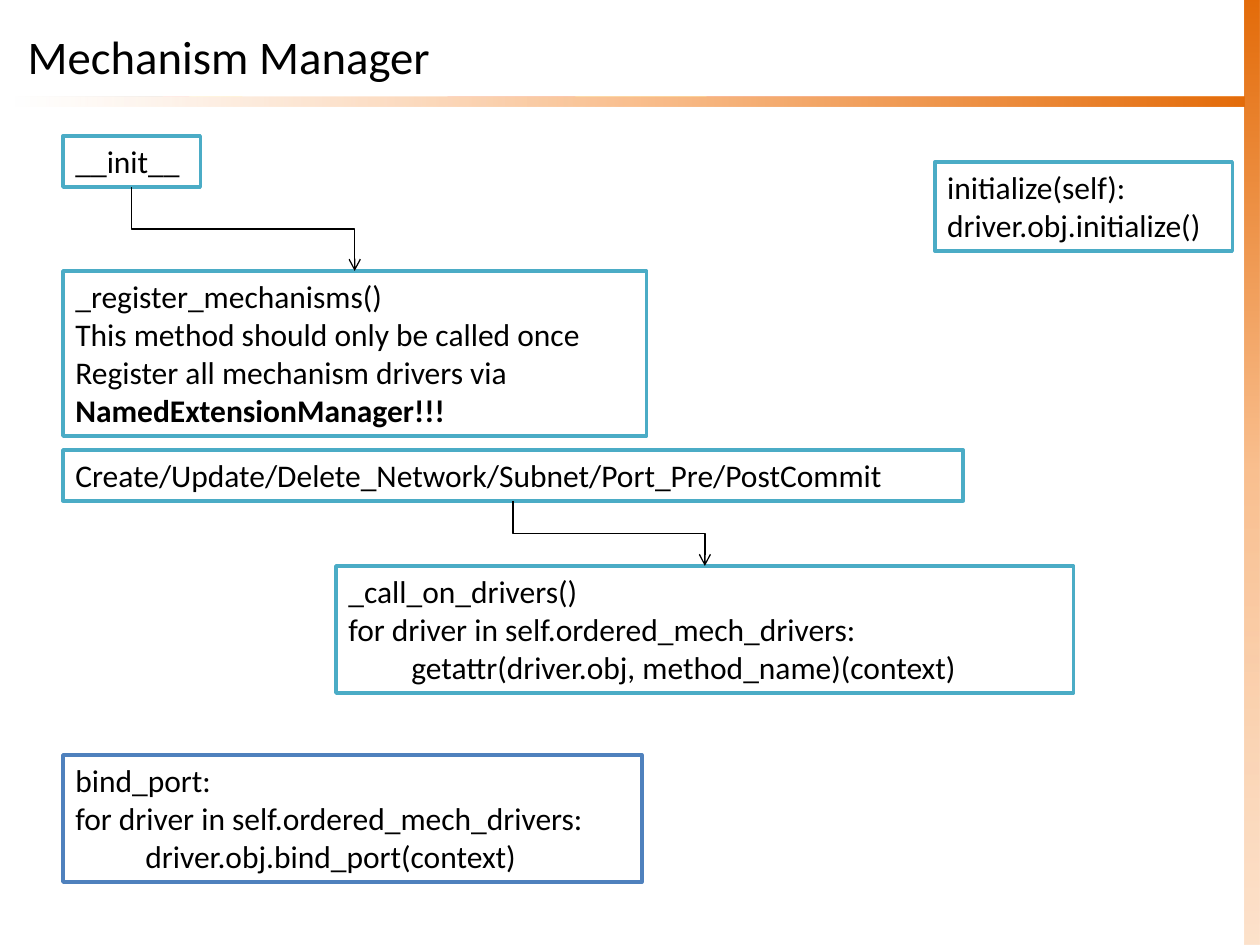
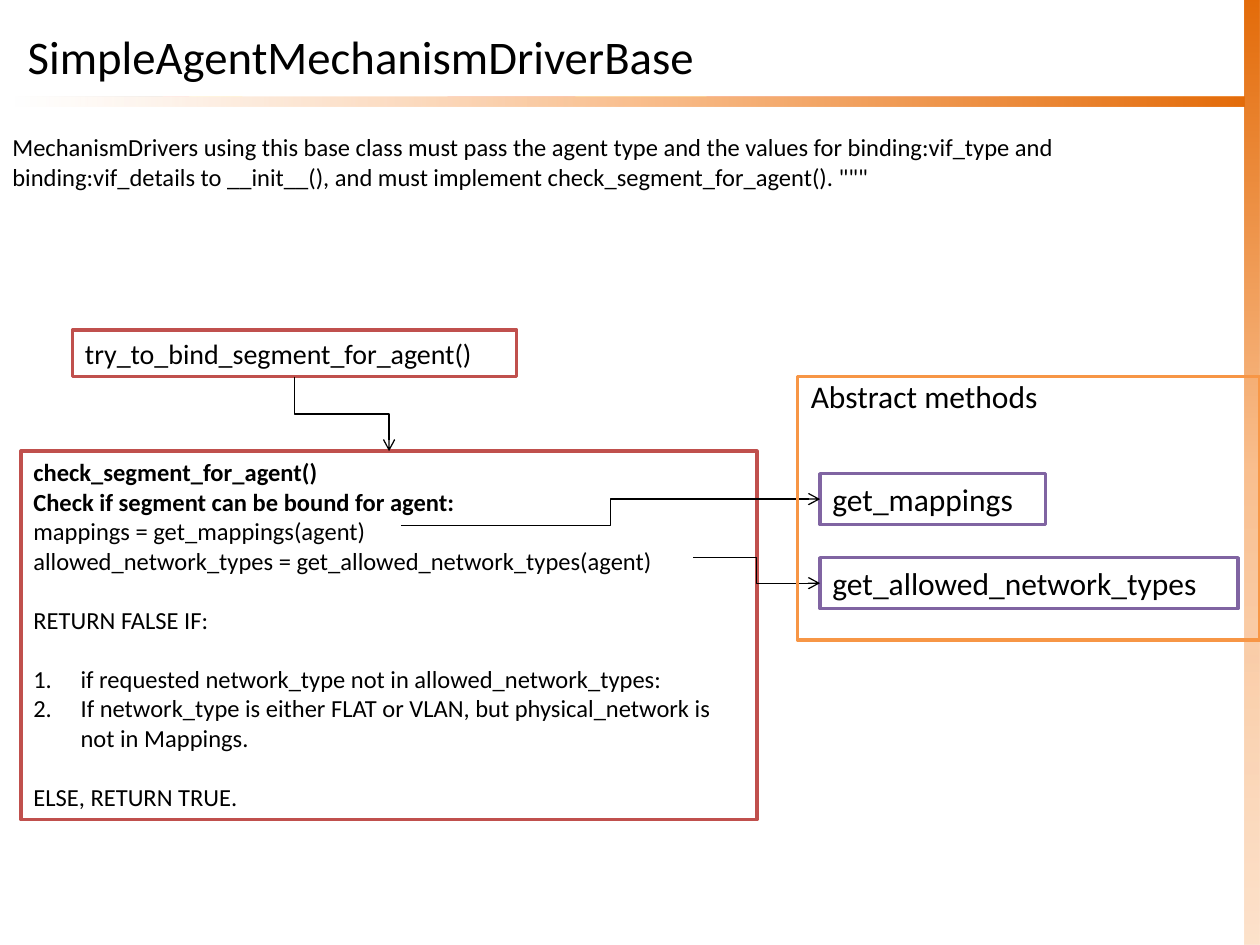
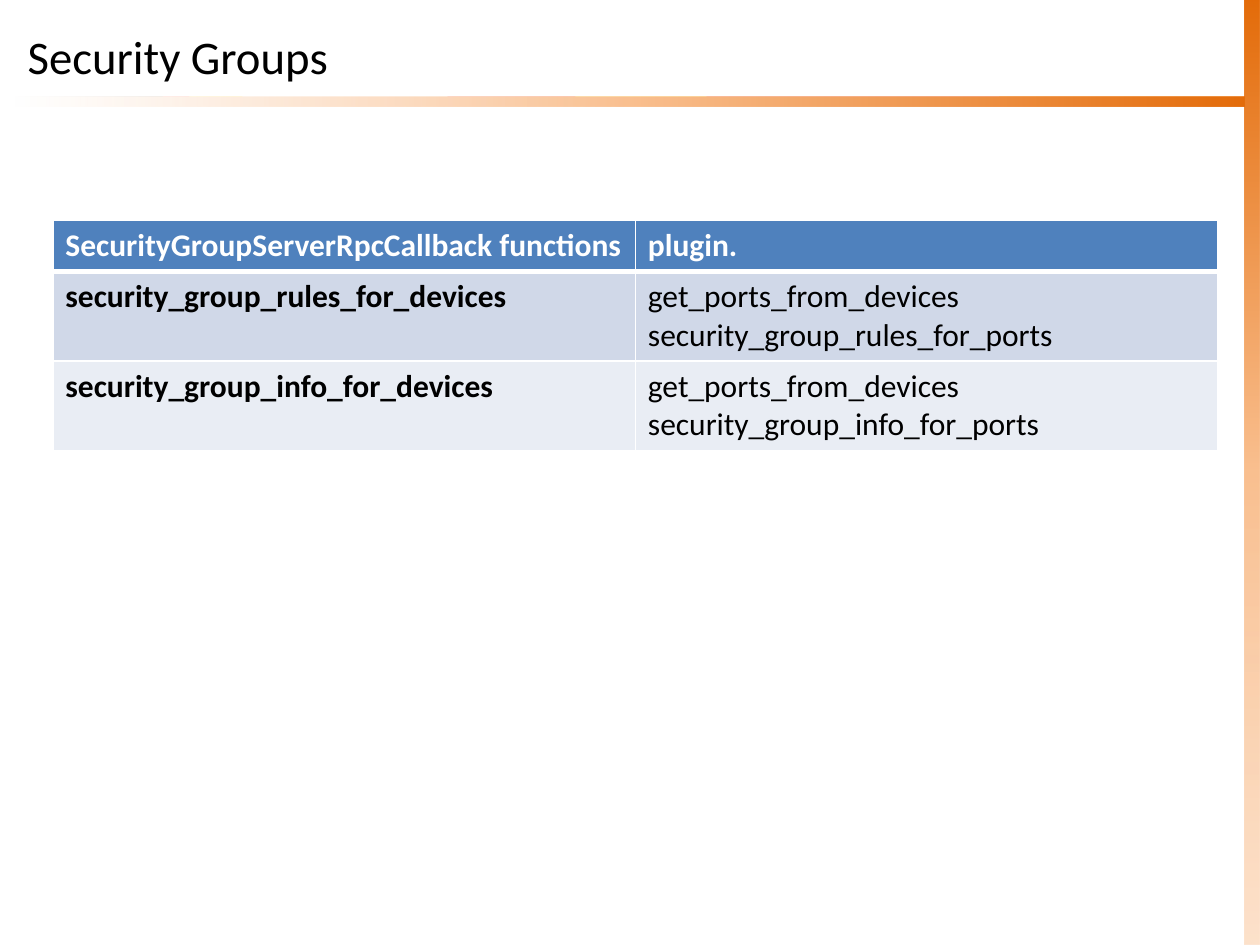
from lxml import etree
from pptx import Presentation
from pptx import util as u
from pptx.dml.color import RGBColor
from pptx.enum import shapes, text
from pptx.oxml.ns import qn

Pt = u.Pt
HUES = {
    "black": "000000", "white": "FFFFFF", "teal": "4BACC6", "blue": "4F81BD",
    "red": "C0504D", "plum": "8064A2", "amber": "F79646",
    "deep": "E46C0A", "mid": "FAC090", "pale": "FCD5B5",
    "odd": "D0D8E8", "even": "E9EDF4",
}
FONT = "Calibri"
DOWN, ACROSS = (2, 0), (None, 1)


def rgb(hue):
    return RGBColor.from_string(HUES[hue])


def apply(item, **vals):
    for name, val in vals.items():
        setattr(item, name, val)


def node(root, tag, **attrs):
    return etree.SubElement(root, qn(tag), attrs)


def tint(root, hue, alpha=None):
    color = node(root, "a:srgbClr", val=HUES[hue])
    if alpha is not None:
        node(color, "a:alpha", val=str(alpha * 1000))


def style(run, size, hue="black", **vals):
    apply(run.font, name=FONT, size=Pt(size), **vals)
    run.font.color.rgb = rgb(hue)


def number(para):
    props = para._p.get_or_add_pPr()
    props.set("marL", str(Pt(27)))
    props.set("indent", str(-Pt(27)))
    node(props, "a:buFont", typeface="+mj-lt")
    node(props, "a:buAutoNum", type="arabicPeriod")


def write(frame, lines, size, hue="black"):
    for i, line in enumerate(lines):
        words, opts = (line, {}) if isinstance(line, str) else line
        para = frame.paragraphs[0] if i == 0 else frame.add_paragraph()
        if opts.get("num"):
            number(para)
        para.alignment = text.PP_ALIGN.LEFT
        if opts.get("gap"):
            para.space_before = Pt(opts["gap"])
        run = para.add_run()
        run.text = words
        style(run, size, hue, bold=opts.get("bold", False))


def block(slide, box, hue=None):
    rect = slide.shapes.add_shape(shapes.MSO_SHAPE.RECTANGLE, *map(Pt, box))
    rect.shadow.inherit = False
    if hue:
        rect.line.color.rgb = rgb(hue)
        rect.line.width = Pt(2)
    else:
        rect.line.fill.background()
    return rect


def card(slide, x, y, w, lines, hue=None, size=18, wrap=False, rows=None):
    box = (x, y, w, 7.3 + 1.21 * size * (rows or len(lines)))
    if hue:
        item = block(slide, box, hue)
        item.fill.solid()
        item.fill.fore_color.rgb = rgb("white")
    else:
        item = slide.shapes.add_textbox(*map(Pt, box))
    apply(item.text_frame, word_wrap=wrap, vertical_anchor=text.MSO_ANCHOR.TOP,
          auto_size=text.MSO_AUTO_SIZE.SHAPE_TO_FIT_TEXT)
    write(item.text_frame, lines, size)
    return item


def side(item, site):
    if site == 1:
        return item.left, item.top + item.height // 2
    return item.left + item.width // 2, item.top + item.height * (site == 2)


def link(slide, start, end, sites):
    first, last = sites
    begin = start if first is None else side(start, first)
    stop = side(end, last)
    line = slide.shapes.add_connector(shapes.MSO_CONNECTOR.ELBOW, *begin, *stop)
    if first is not None:
        line.begin_connect(start, first)
    line.end_connect(end, last)
    if sites == DOWN:
        dx, dy = stop[0] - begin[0], stop[1] - begin[1]
        apply(line, left=begin[0] + (dx - dy) // 2,
              top=begin[1] + (dy - dx) // 2, width=dy, height=dx)
        frame = line.element.spPr.find(qn("a:xfrm"))
        frame.set("rot", "16200000")
        frame.set("flipH", "1")
    line.line.color.rgb = rgb("black")
    line.line.width = Pt(0.75)
    props = line.element.spPr
    node(props.find(qn("a:ln")), "a:tailEnd", type="arrow")
    node(props, "a:effectLst")


def band(slide, layout, box, angle, stops):
    rect = block(slide, box)
    rect.fill.background()
    props = rect.element.spPr
    grad = etree.Element(qn("a:gradFill"), rotWithShape="1")
    steps = node(grad, "a:gsLst")
    for spot, hue, alpha in stops:
        tint(node(steps, "a:gs", pos=str(spot * 1000)), hue, alpha)
    node(grad, "a:lin", ang=str(angle * 60000), scaled="0")
    props.replace(props.find(qn("a:noFill")), grad)
    layout.shapes.element.insert(2, rect.element)


def frame(slide, layout):
    band(slide, layout, (8.6, 55.2, 702.8, 5.4), 0,
         [(0, "pale", 0), (50, "mid", None), (100, "deep", None)])
    band(slide, layout, (711.4, 0, 8.6, 540), 90,
         [(0, "deep", None), (50, "mid", None), (100, "pale", 69)])


def page(deck, layout, title):
    slide = deck.slides.add_slide(layout)
    head = slide.shapes.title
    apply(head, left=Pt(8.6), top=Pt(9.4), width=Pt(702.8), height=Pt(45.4))
    apply(head.text_frame, vertical_anchor=text.MSO_ANCHOR.MIDDLE,
          auto_size=text.MSO_AUTO_SIZE.NONE)
    write(head.text_frame, [title], 26.7)
    return slide


def setup(slide, x, y):
    init = card(slide, x, y, 78.5, ["__init__"], "teal")
    reg = card(slide, x, y + 77, 333.4, [
        "_register_mechanisms()",
        "This method should only be called once",
        "Register all mechanism drivers via",
        ("NamedExtensionManager!!!", {"bold": True}),
    ], "teal")
    link(slide, init, reg, DOWN)
    card(slide, x + 498.2, y + 14.8, 170,
         ["initialize(self):", "driver.obj.initialize()"], "teal")


def calls(slide, x, y):
    loop = "for driver in self.ordered_mech_drivers:"
    commit = card(slide, x, y, 514.4, [
        "Create/Update/Delete_Network/Subnet/Port_Pre/PostCommit"], "teal")
    call = card(slide, x + 156, y + 66.2, 421.5, [
        "_call_on_drivers()", loop,
        "\tgetattr(driver.obj, method_name)(context)"], "teal")
    link(slide, commit, call, DOWN)
    card(slide, x, y + 174.2, 330.8,
         ["bind_port:", loop, "\t driver.obj.bind_port(context)"], "blue")


def check(slide, x, y):
    bind = card(slide, x + 29.5, y, 253.8,
                ["try_to_bind_segment_for_agent()"], "red", 16)
    test = card(slide, x, y + 69.2, 420.6, [
        ("check_segment_for_agent()", {"bold": True}),
        ("Check if segment can be bound for agent:", {"bold": True}),
        "mappings = get_mappings(agent)",
        "allowed_network_types = get_allowed_network_types(agent)",
        ("RETURN FALSE IF:", {"gap": 17}),
        ("if requested network_type not in allowed_network_types:",
         {"num": True, "gap": 17}),
        ("If network_type is either FLAT or VLAN, but physical_network is "
         "not in Mappings.", {"num": True}),
        ("ELSE, RETURN TRUE.", {"gap": 17}),
    ], "red", 14, True, 12)
    link(slide, bind, test, DOWN)


def methods(slide, x, y):
    card(slide, x + 0.4, y - 3.4, 156, ["Abstract methods"])
    maps = card(slide, x + 12.8, y + 55.5, 128.9, ["get_mappings"], "plum")
    kinds = card(slide, x + 12.8, y + 103.5, 239,
                 ["get_allowed_network_types"], "plum")
    link(slide, (Pt(x - 226.8), Pt(y + 85)), maps, ACROSS)
    link(slide, (Pt(x - 59.8), Pt(y + 103.5)), kinds, ACROSS)
    block(slide, (x, y, 264.2, 150.5), "amber").fill.background()


def border(cell, top, bottom):
    props = cell._tc.get_or_add_tcPr()
    for edge, width in zip("LRTB", (1, 1, top, bottom)):
        line = node(props, "a:ln" + edge, w=str(Pt(width)))
        tint(node(line, "a:solidFill"), "white")


def grid(slide, x, y, w):
    data = [
        (["SecurityGroupServerRpcCallback functions"], ["plugin."]),
        (["security_group_rules_for_devices"],
         ["get_ports_from_devices", "security_group_rules_for_ports"]),
        (["security_group_info_for_devices"],
         ["get_ports_from_devices", "security_group_info_for_ports"]),
    ]
    high = 29.2
    table = slide.shapes.add_table(
        len(data), 2, Pt(x), Pt(y), Pt(w), Pt(high * len(data))).table
    for r, row in enumerate(data):
        table.rows[r].height = Pt(high)
        for c, lines in enumerate(row):
            cell = table.cell(r, c)
            border(cell, 3 if r == 1 else 1, 3 if r == 0 else 1)
            cell.fill.solid()
            cell.fill.fore_color.rgb = rgb(("blue", "odd", "even")[r])
            bold = {"bold": r == 0 or c == 0}
            write(cell.text_frame, [(line, bold) for line in lines], 18,
                  "black" if r else "white")


def main():
    deck = Presentation()
    apply(deck, slide_width=Pt(720), slide_height=Pt(540))
    layout = deck.slide_layouts[5]

    slide = page(deck, layout, "Mechanism Manager")
    frame(slide, layout)
    setup(slide, 36, 77.8)
    calls(slide, 36, 257.2)

    slide = page(deck, layout, "SimpleAgentMechanismDriverBase")
    card(slide, 0, 72, 714, [
        "MechanismDrivers using this base class must pass the agent type and "
        "the values for binding:vif_type and binding:vif_details to "
        "__init__(), and must implement check_segment_for_agent(). \"\"\""],
        size=14, wrap=True, rows=2)
    check(slide, 12, 188.6)
    methods(slide, 455.8, 215.2)

    slide = page(deck, layout, "Security Groups")
    grid(slide, 30.2, 126, 665.8)

    deck.save("out.pptx")


if __name__ == "__main__":
    main()
